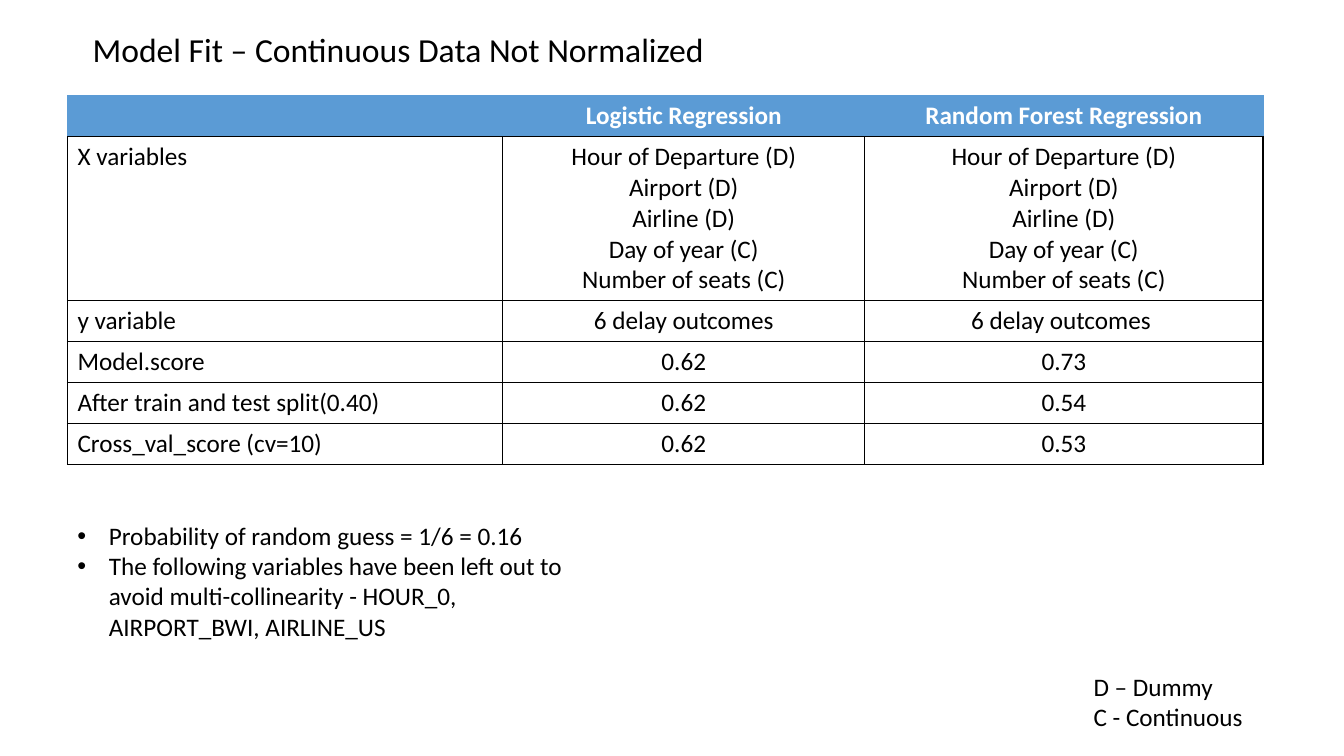
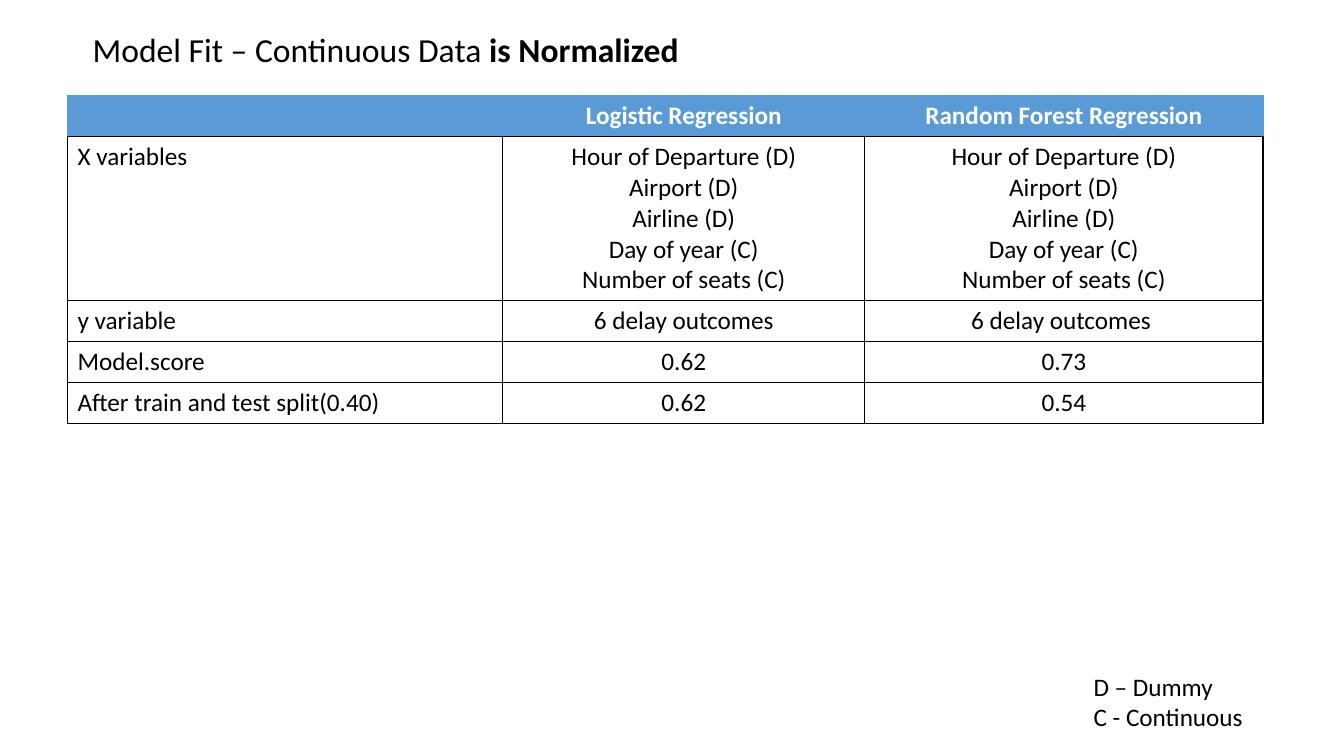
import dataclasses

import lxml.etree
import pptx
import pptx.dml.color
import pptx.enum.text
import pptx.oxml
import pptx.oxml.ns
import pptx.util

Pt = pptx.util.Pt
ALIGN = pptx.enum.text.PP_ALIGN
qn = pptx.oxml.ns.qn


@dataclasses.dataclass(frozen=True)
class Theme:
    font: str = "Calibri"
    title_size: int = 24
    body_size: int = 18
    ink: str = "000000"
    header_fill: str = "5B9BD5"
    header_ink: str = "FFFFFF"


theme = Theme()


def write(frame, lines, size=theme.body_size, color=theme.ink, bold=False, align=ALIGN.LEFT):
    """Fill a text frame; a line is a string or a list of (text, bold) runs."""
    for index, line in enumerate(lines):
        para = frame.paragraphs[0] if index == 0 else frame.add_paragraph()
        para.alignment = align
        for text, is_bold in [(line, bold)] if isinstance(line, str) else line:
            span = para.add_run()
            span.text = text
            span.font.name = theme.font
            span.font.size = Pt(size)
            span.font.bold = is_bold
            span.font.color.rgb = pptx.dml.color.RGBColor.from_string(color)


def set_borders(cell, borders):
    """Draw cell borders given as (side, colour, width) in the order L, R, T, B."""
    properties = cell._tc.get_or_add_tcPr()
    for position, (side, color, width) in enumerate(borders):
        line = lxml.etree.Element(qn(f"a:ln{side}"), w=str(int(Pt(width))))
        fill = lxml.etree.SubElement(line, qn("a:solidFill"))
        lxml.etree.SubElement(fill, qn("a:srgbClr"), val=color)
        properties.insert(position, line)


predictors = ["Hour of Departure (D)", "Airport (D)", "Airline (D)",
              "Day of year (C)", "Number of seats (C)"]
shared_rows = [
    ([], ["Logistic Regression"], ["Random Forest Regression"]),
    (["X variables"], predictors, predictors),
    (["y variable"], ["6 delay outcomes"], ["6 delay outcomes "]),
    (["Model.score"], ["0.62"], ["0.73"]),
    (["After train and test split(0.40)"], ["0.62"], ["0.54"]),
]
cross_validation_row = (["Cross_val_score (cv=10)"], ["0.62"], ["0.53"])
slides = [
    ([("Model Fit – Continuous Data Not Normalized", False)],
     shared_rows + [cross_validation_row],
     ["Probability of random guess = 1/6 = 0.16",
      "The following variables have been left out to avoid multi-collinearity"
      " - HOUR_0, AIRPORT_BWI, AIRLINE_US"]),
    ([("Model Fit – Continuous Data ", False), ("is Normalized", True)], shared_rows, []),
]
column_widths = [311, 258.5, 284.5]
row_height, predictor_row_height = 29.3, 117.2
table_left, table_top = 48.2, 68.4

deck = pptx.Presentation()
deck.slide_width, deck.slide_height = Pt(960), Pt(540)

for title_runs, rows, notes in slides:
    page = deck.slides.add_slide(deck.slide_layouts[5])

    title = page.shapes.title
    title.left, title.top, title.width, title.height = Pt(59), Pt(18.7), Pt(828), Pt(36.7)
    title.text_frame.word_wrap = True
    title.text_frame.auto_size = pptx.enum.text.MSO_AUTO_SIZE.NONE
    title.text_frame.vertical_anchor = pptx.enum.text.MSO_ANCHOR.MIDDLE
    write(title.text_frame, [title_runs], theme.title_size)
    title.text_frame.paragraphs[0].line_spacing = 0.9

    heights = [predictor_row_height if row[1] is predictors else row_height for row in rows]
    table = page.shapes.add_table(
        len(rows), len(column_widths), Pt(table_left), Pt(table_top),
        Pt(sum(column_widths)), Pt(sum(heights))).table
    table.horz_banding = False
    for column, width in zip(table.columns, column_widths):
        column.width = Pt(width)
    for row_index, row in enumerate(rows):
        table.rows[row_index].height = Pt(heights[row_index])
        is_header = row_index == 0
        for column_index, lines in enumerate(row):
            cell = table.cell(row_index, column_index)
            write(cell.text_frame, lines,
                  color=theme.header_ink if is_header else theme.ink, bold=is_header,
                  align=ALIGN.CENTER if column_index else ALIGN.LEFT)
            if is_header:
                cell.fill.solid()
                cell.fill.fore_color.rgb = pptx.dml.color.RGBColor.from_string(theme.header_fill)
                set_borders(cell, [(side, theme.header_fill, 0.5) for side in "LRT"]
                            + [("B", theme.ink, 1)])
            else:
                cell.fill.background()
                set_borders(cell, [(side, theme.ink, 1) for side in "LRTB"])

    if notes:
        notes_box = page.shapes.add_textbox(Pt(table_left), Pt(368), Pt(396), Pt(116.6))
        notes_box.text_frame.word_wrap = True
        write(notes_box.text_frame, notes)
        for para in notes_box.text_frame.paragraphs:
            properties = para._p.get_or_add_pPr()
            properties.set("marL", str(int(Pt(22.5))))
            properties.set("indent", str(int(Pt(-22.5))))
            lxml.etree.SubElement(properties, qn("a:buFont"), typeface="Arial")
            lxml.etree.SubElement(properties, qn("a:buChar"), char="•")

    legend = page.shapes.add_textbox(Pt(774), Pt(476), Pt(137.5), Pt(51))
    legend.text_frame.word_wrap = True
    write(legend.text_frame, ["D – Dummy", "C - Continuous"])

deck.save("out.pptx")
